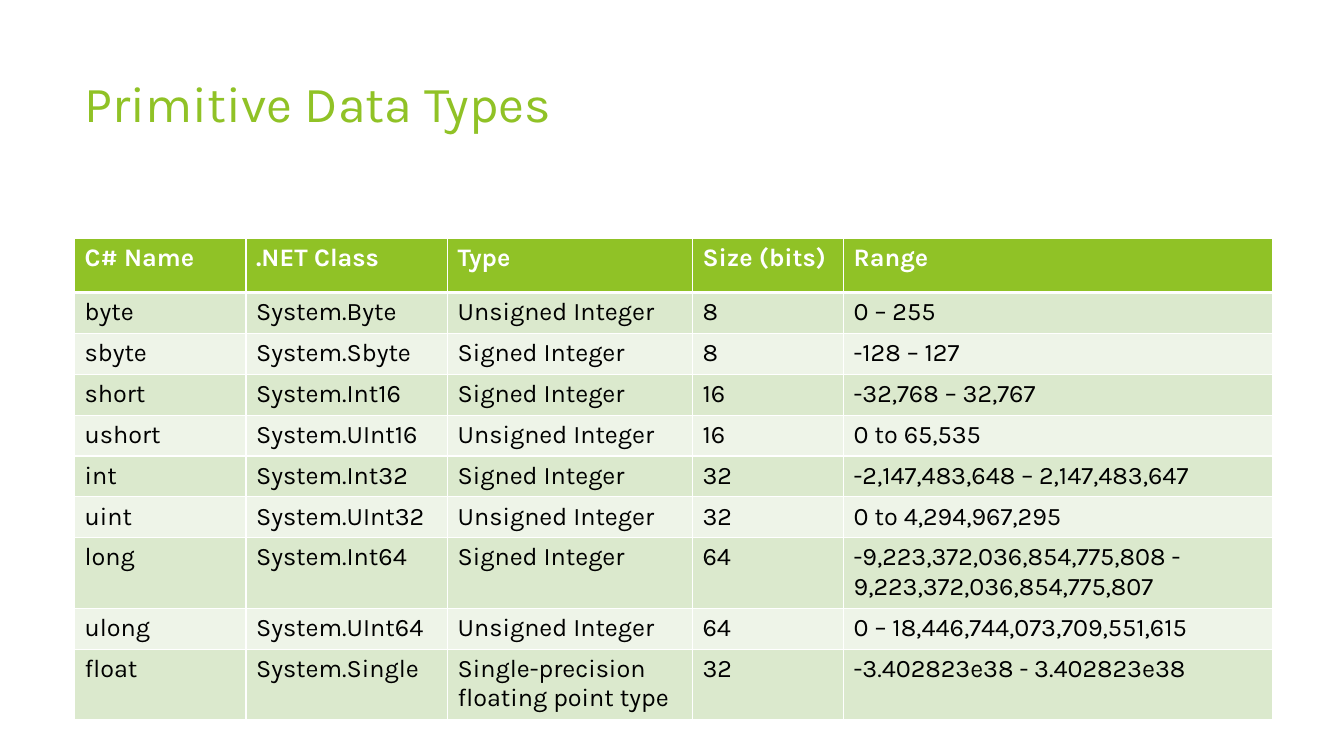
from lxml import etree
from pptx import Presentation
from pptx import util as u
from pptx.dml.color import RGBColor
from pptx.enum import text
from pptx.oxml.ns import qn

FONT = "Karla"
GREEN, WHITE, BLACK = "90C226", "FFFFFF", "000000"
BANDS = ["DBE9CD", "EEF4E8"]
COLUMN_WIDTHS = [4.32, 5.08, 6.17, 3.81, 10.82]
HEADER_HEIGHT, ROW_HEIGHT = 1.37, 1.03

ROWS = [
    ["C# Name", ".NET Class", "Type", "Size (bits)", "Range"],
    ["byte", "System.Byte", "Unsigned Integer", "8", "0 – 255"],
    ["sbyte", "System.Sbyte", "Signed Integer", "8", "-128 – 127"],
    ["short", "System.Int16", "Signed Integer", "16", "-32,768 – 32,767"],
    ["ushort", "System.UInt16", "Unsigned Integer", "16", "0 to 65,535"],
    ["int", "System.Int32", "Signed Integer", "32", "-2,147,483,648 – 2,147,483,647"],
    ["uint", "System.UInt32", "Unsigned Integer", "32", "0 to 4,294,967,295"],
    ["long", "System.Int64", "Signed Integer", "64",
     "-9,223,372,036,854,775,808 - 9,223,372,036,854,775,807"],
    ["ulong", "System.UInt64", "Unsigned Integer", "64", "0 – 18,446,744,073,709,551,615"],
    ["float", "System.Single", "Single-precision floating point type", "32",
     "-3.402823e38 - 3.402823e38"],
]


def color(value):
    return RGBColor.from_string(value)


def add_run(paragraph, content, size, font_color, bold=False):
    run = paragraph.add_run()
    run.text = content
    run.font.name = FONT
    run.font.size = u.Pt(size)
    run.font.bold = bold
    run.font.color.rgb = color(font_color)


def add_title(slide, content):
    shape = slide.shapes.add_textbox(u.Cm(1.88), u.Cm(1.7), u.Cm(23.88), u.Cm(3.66))
    frame = shape.text_frame
    frame.word_wrap = True
    frame.vertical_anchor = text.MSO_ANCHOR.TOP
    add_run(frame.paragraphs[0], content, 36, GREEN)


def set_border(cell, side, width):
    properties = cell._tc.get_or_add_tcPr()
    line = etree.SubElement(properties, qn(f"a:{side}"), w=str(u.Pt(width)))
    fill = etree.SubElement(line, qn("a:solidFill"))
    etree.SubElement(fill, qn("a:srgbClr"), val=WHITE)


def fill_cell(cell, content, row):
    header = row == 0
    # Borders come before the fill; the rule under the header is thicker
    for side in ("lnL", "lnR", "lnT", "lnB"):
        under_header = (row, side) in ((0, "lnB"), (1, "lnT"))
        set_border(cell, side, 3 if under_header else 1)
    cell.fill.solid()
    cell.fill.fore_color.rgb = color(GREEN if header else BANDS[(row - 1) % 2])
    add_run(cell.text_frame.paragraphs[0], content, 18, WHITE if header else BLACK, header)


def add_type_table(slide):
    heights = [HEADER_HEIGHT] + [ROW_HEIGHT] * (len(ROWS) - 1)
    table = slide.shapes.add_table(
        len(ROWS), len(COLUMN_WIDTHS), u.Cm(1.88), u.Cm(6),
        u.Cm(sum(COLUMN_WIDTHS)), u.Cm(sum(heights))).table
    for column, width in zip(table.columns, COLUMN_WIDTHS):
        column.width = u.Cm(width)
    for index, (row, height) in enumerate(zip(table.rows, heights)):
        row.height = u.Cm(height)
        for cell, content in zip(row.cells, ROWS[index]):
            fill_cell(cell, content, index)


def main():
    presentation = Presentation()
    presentation.slide_width = u.Cm(33.87)
    presentation.slide_height = u.Cm(19.05)
    slide = presentation.slides.add_slide(presentation.slide_layouts[6])
    add_title(slide, "Primitive Data Types")
    add_type_table(slide)
    presentation.save("out.pptx")


if __name__ == "__main__":
    main()
